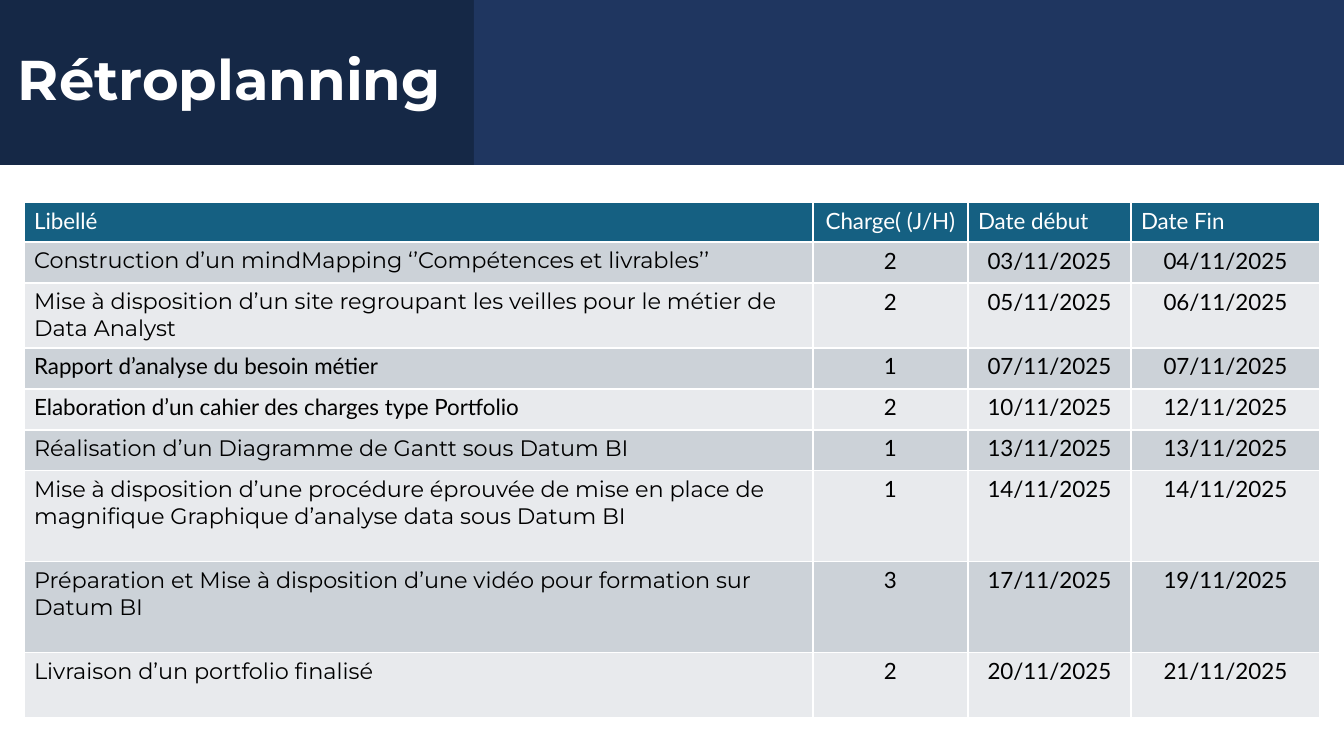
"""Build the Rétroplanning slide: a two-tone title band above a schedule table."""
from lxml.etree import SubElement
from pptx import Presentation
from pptx.dml.color import RGBColor
from pptx.enum.shapes import MSO_SHAPE as Shape
from pptx.enum.text import MSO_ANCHOR as Anchor, PP_ALIGN as Align
from pptx.oxml.ns import qn
from pptx.util import Pt

SANS, DISPLAY = "Lato", "Montserrat"
TITLE = "Rétroplanning"
HEADINGS = ("Libellé", "Charge( (J/H)", "Date début", "Date Fin")
TASKS = [
    ("Construction d’un mindMapping ‘’Compétences et livrables’’", "2", "03/11/2025", "04/11/2025", DISPLAY, 41),
    ("Mise à disposition d’un site regroupant les veilles pour le métier de Data Analyst",
     "2", "05/11/2025", "06/11/2025", DISPLAY, 65),
    ("Rapport d’analyse du besoin métier", "1", "07/11/2025", "07/11/2025", SANS, 41),
    ("Elaboration d’un cahier des charges type Portfolio", "2", "10/11/2025", "12/11/2025", SANS, 41),
    ("Réalisation d’un Diagramme de Gantt sous Datum BI", "1", "13/11/2025", "13/11/2025", DISPLAY, 41),
    ("Mise à disposition d’une procédure éprouvée de mise en place de "
     "magnifique Graphique d’analyse data sous Datum BI", "1", "14/11/2025", "14/11/2025", DISPLAY, 91),
    ("Préparation et Mise à disposition d’une vidéo pour formation sur Datum BI",
     "3", "17/11/2025", "19/11/2025", DISPLAY, 91),
    ("Livraison d’un portfolio finalisé", "2", "20/11/2025", "21/11/2025", DISPLAY, 65),
]
COLORS = {"navy": "152846", "blue": "1F3660", "teal": "156082", "odd": "CCD2D8",
          "even": "E8EAED", "white": "FFFFFF", "black": "000000"}
SLIDE_W, SLIDE_H = 1344, 756
BAND_H, BAND_SPLIT = 165, 474
TITLE_BOX = (8, 0, 1159, 118)
TABLE_LEFT, TABLE_TOP, HEADER_H = 24, 202, 40
COLUMN_WIDTHS = (789, 155, 163, 189)


def px(length):
    return round(length * 914400 / 100.8)


def color(name):
    return RGBColor.from_string(COLORS[name])


def write(frame, text, font=SANS, size=16, ink="black", bold=False, align=Align.LEFT, spacing=None):
    frame.word_wrap = True
    paragraph = frame.paragraphs[0]
    paragraph.alignment = align
    paragraph.line_spacing = spacing
    run = paragraph.add_run()
    run.text = text
    run.font.name, run.font.size, run.font.bold = font, Pt(size), bold
    run.font.color.rgb = color(ink)


def add_band(slide, left, width, fill):
    band = slide.shapes.add_shape(Shape.RECTANGLE, px(left), 0, px(width), px(BAND_H))
    band.shadow.inherit = False
    band.fill.solid()
    band.fill.fore_color.rgb = color(fill)
    band.line.fill.background()


def style_cell(cell, fill):
    properties = cell._tc.get_or_add_tcPr()
    for side in ("a:lnL", "a:lnR", "a:lnT", "a:lnB"):
        border = SubElement(properties, qn(side), w=str(Pt(1)))
        SubElement(SubElement(border, qn("a:solidFill")), qn("a:srgbClr"), val=COLORS["white"])
    cell.fill.solid()
    cell.fill.fore_color.rgb = color(fill)


def add_schedule(slide):
    heights = [HEADER_H] + [task[-1] for task in TASKS]
    schedule = slide.shapes.add_table(
        len(heights), len(HEADINGS), px(TABLE_LEFT), px(TABLE_TOP),
        px(sum(COLUMN_WIDTHS)), px(sum(heights))).table
    for column, width in zip(schedule.columns, COLUMN_WIDTHS):
        column.width = px(width)
    for row, height in zip(schedule.rows, heights):
        row.height = px(height)
    for c, heading in enumerate(HEADINGS):
        cell = schedule.cell(0, c)
        style_cell(cell, "teal")
        write(cell.text_frame, heading, ink="white", align=Align.CENTER if c == 1 else Align.LEFT)
    for r, (*values, label_font, _) in enumerate(TASKS, 1):
        for c, value in enumerate(values):
            cell = schedule.cell(r, c)
            style_cell(cell, "odd" if r % 2 else "even")
            write(cell.text_frame, value, font=SANS if c else label_font,
                  align=Align.CENTER if c else Align.LEFT)


def main():
    deck = Presentation()
    deck.slide_width, deck.slide_height = px(SLIDE_W), px(SLIDE_H)
    slide = deck.slides.add_slide(deck.slide_layouts[6])
    add_band(slide, 0, BAND_SPLIT, "navy")
    add_band(slide, BAND_SPLIT, SLIDE_W - BAND_SPLIT, "blue")
    title = slide.shapes.add_textbox(*map(px, TITLE_BOX)).text_frame
    title.vertical_anchor = Anchor.BOTTOM
    write(title, TITLE, font=DISPLAY, size=40, ink="white", bold=True, spacing=0.9)
    add_schedule(slide)
    deck.save("out.pptx")


if __name__ == "__main__":
    main()
